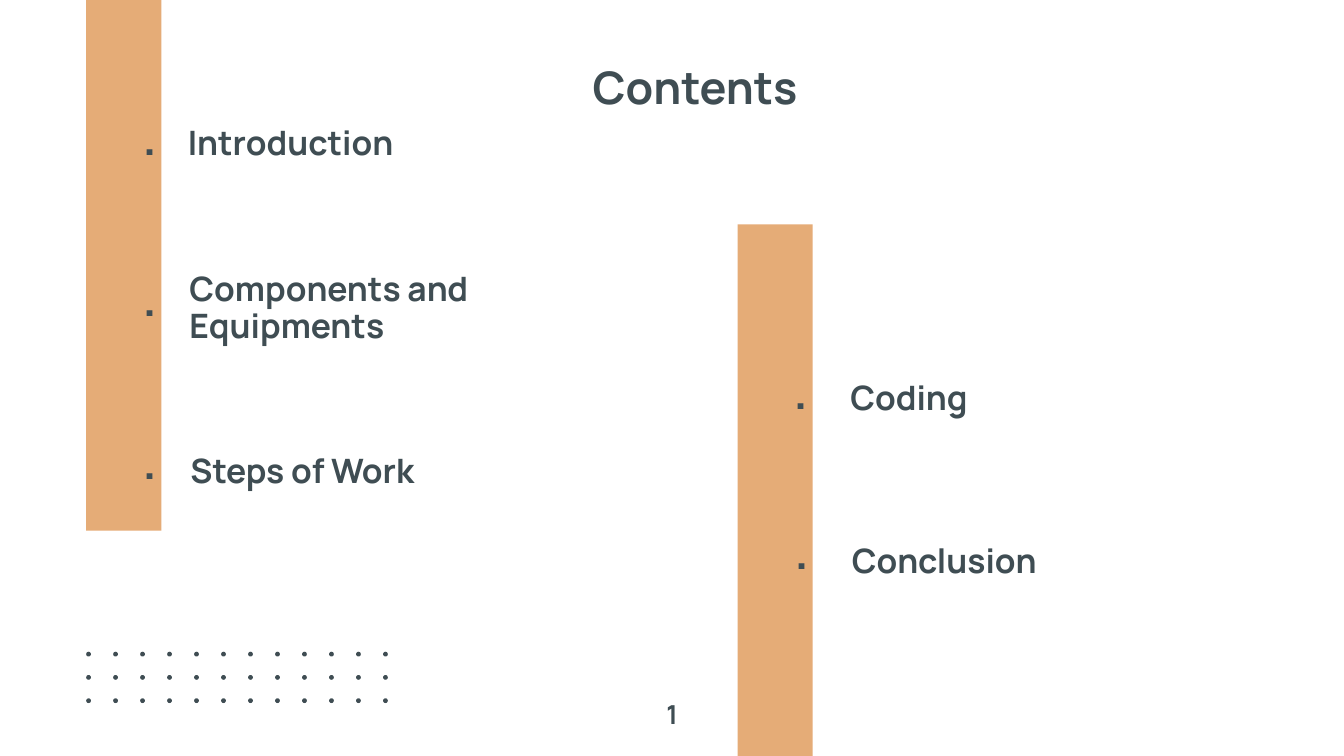
"""Build a contents slide with two accent bars, five entries and a dot grid."""
from pptx import Presentation
from pptx.dml.color import RGBColor
from pptx.enum.shapes import MSO_SHAPE
from pptx.enum.text import MSO_ANCHOR, PP_ALIGN
from pptx.util import Cm, Pt

INK, ACCENT = "3F4D53", "E5AC77"


def add_filled(kind, left, top, width, height, color):
    shape = slide.shapes.add_shape(kind, Cm(left), Cm(top), Cm(width), Cm(height))
    shape.shadow.inherit = False
    shape.fill.solid()
    shape.fill.fore_color.rgb = RGBColor.from_string(color)
    shape.line.fill.background()


def write(box, text, left, top, width, height, size, bold=True,
          align=PP_ALIGN.LEFT, anchor=MSO_ANCHOR.TOP, inset=0.25, spacing=1.0):
    box.left, box.top, box.width, box.height = Cm(left), Cm(top), Cm(width), Cm(height)
    frame = box.text_frame
    frame.text = text
    frame.word_wrap = True
    frame.vertical_anchor = anchor
    frame.margin_left = frame.margin_right = Cm(0.25)
    frame.margin_top = frame.margin_bottom = Cm(inset)
    paragraph = frame.paragraphs[0]
    paragraph.alignment = align
    paragraph.line_spacing = spacing
    font = paragraph.runs[0].font
    font.name, font.size, font.bold = "Manrope", Pt(size), bold
    font.color.rgb = RGBColor.from_string(INK)


prs = Presentation()
prs.slide_width, prs.slide_height = Cm(25.4), Cm(14.29)
slide = prs.slides.add_slide(prs.slide_layouts[5])

for left, top, height in [(1.63, 0, 10.03), (13.94, 4.24, 10.31)]:
    add_filled(MSO_SHAPE.RECTANGLE, left, top, 1.42, height, ACCENT)

entries = [
    ("Introduction", 3.3, 2.18, -0.41, 1.78),
    ("Components and Equipments", 3.33, 5.64, -0.41, 4.83),
    ("Steps of Work", 3.35, 8.38, -0.41, 7.9),
    ("Coding", 15.82, 7.01, 11.89, 6.58),
    ("Conclusion", 15.85, 10.08, 11.91, 9.6),
]
for entry, left, top, marker_left, marker_top in entries:
    marker = slide.shapes.add_textbox(0, 0, 0, 0)
    write(marker, ".", marker_left, marker_top, 3.66, 1.5, 36, bold=False,
          align=PP_ALIGN.RIGHT, anchor=MSO_ANCHOR.MIDDLE, spacing=0.9)
    label = slide.shapes.add_textbox(0, 0, 0, 0)
    write(label, entry, left, top, 7.8, 1.14, 18, anchor=MSO_ANCHOR.BOTTOM, spacing=0.9)

for row in range(3):
    for column in range(12):
        add_filled(MSO_SHAPE.OVAL, 1.63 + column * 0.51, 12.32 + row * 0.44, 0.09, 0.09, INK)

write(slide.shapes.title, "Contents", 10.95, 0.99, 6.83, 1.27, 24, inset=0.13)
page_number = slide.shapes.add_textbox(0, 0, 0, 0)
write(page_number, "1", 11.89, 13.08, 1.63, 0.86, 14, align=PP_ALIGN.CENTER, inset=0.13)

prs.save("out.pptx")
